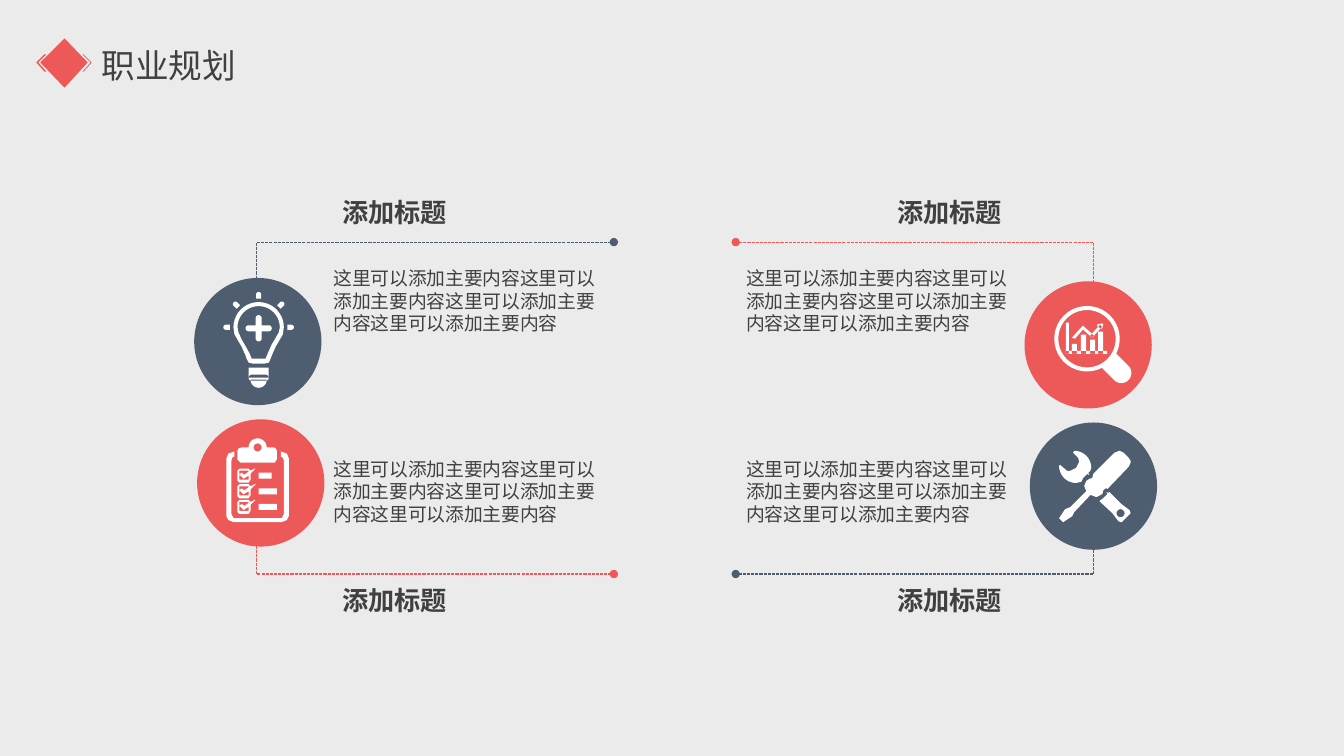
"""Build the career planning slide with four icon callouts."""
from math import cos, radians, sin

from lxml import etree
from pptx import Presentation
from pptx.dml.color import RGBColor
from pptx.enum.dml import MSO_LINE
from pptx.enum.shapes import MSO_SHAPE
from pptx.enum.text import PP_ALIGN
from pptx.oxml.ns import qn
from pptx.util import Pt

OVAL = MSO_SHAPE.OVAL
DASH = MSO_LINE.SQUARE_DOT
LEFT, RIGHT = PP_ALIGN.LEFT, PP_ALIGN.RIGHT
COLORS = {"background": "EBEBEB", "navy": "4F5D70", "coral": "ED5858",
          "text": "404040", "icon": "FFFFFF"}
FONT = "Noto Sans CJK SC"
GRID = 0.72
DISC = 90.9


def arc(x, y, radius, start, end):
    steps = max(8, int(abs(end - start) / 9))
    angles = [radians(start + (end - start) * i / steps) for i in range(steps + 1)]
    return [(x + radius * cos(a), y + radius * sin(a)) for a in angles]


def box(x, y, width, height):
    return [(x, y), (x + width, y), (x + width, y + height), (x, y + height)]


def ray(angle):
    a = radians(angle)
    tip = arc(64 + 32.5 * cos(a), 49 + 32.5 * sin(a), 2.5, angle - 90, angle + 90)
    base = [(64 + 28.5 * cos(a) - side * sin(a), 49 + 28.5 * sin(a) + side * cos(a))
            for side in (2.5, -2.5)]
    return tip + base


def lower(points, distance):
    return [(x, y + distance) for x, y in points]


EMBLEM = [
    [(46, 16), (47, 16), (55, 24), (47, 33), (46, 33), (54, 24)],
    [(8, 16), (10, 16), (2, 24), (10, 33), (8, 33), (0, 24)],
    [(28, 0), (51, 24), (28, 49), (4, 24)],
]
BULB = [
    arc(64, 49, 25, 180, 360) + [
        (88, 56), (84, 63), (81, 68), (77, 77), (76, 80), (74, 84), (70, 85),
        (58, 85), (54, 84), (52, 80), (51, 77), (47, 68), (44, 63), (40, 56)],
    arc(64, 49, 21, 180, 360) + [
        (84, 54), (80, 61), (77, 66), (73, 75), (71, 80), (57, 80), (55, 75),
        (50, 66), (47, 61), (44, 54)],
    arc(74, 50, 3, -90, 90) + [(67, 53)] + arc(64, 60, 3, 0, 180) + [(61, 53)]
    + arc(54, 50, 3, 90, 270) + [(61, 47)] + arc(64, 40, 3, 180, 360) + [(67, 47)],
    box(54, 89, 20, 10),
    arc(57, 99, 3, 90, 270) + arc(71, 99, 3, -90, 90),
    arc(64, 101, 8, 0, 180),
] + [ray(angle) for angle in range(180, 361, 45)]

CHECK_BOX = [(53, 51), (51, 49), (42, 49), (40, 51), (40, 61), (42, 63), (51, 63),
             (53, 60), (53, 54), (58, 49), (57, 49)]
CHECK_MARK = [(42, 51), (51, 51), (51, 52), (47, 55), (44, 53), (42, 55), (46, 59),
              (51, 56), (51, 60), (42, 60)]
CLIPBOARD = [
    [(34, 41), (35, 38), (37, 37), (37, 32), (31, 34), (29, 39), (29, 96), (31, 100),
     (36, 102), (84, 102), (89, 100), (91, 96), (91, 39), (89, 34), (83, 32),
     (83, 37), (85, 38), (86, 41), (86, 94), (84, 98), (36, 98), (34, 94)],
    [(51, 28), (44, 28), (41, 29), (40, 31), (40, 40), (43, 43), (77, 43), (79, 40),
     (79, 31), (78, 29), (76, 28), (69, 28)] + arc(60, 28, 9, 0, -180),
    arc(60, 28, 4, 0, 360),
]
for row, width in enumerate((13, 18, 18)):
    drop = 15.5 * row
    CLIPBOARD += [lower(CHECK_BOX, drop), lower(CHECK_MARK, drop),
                  box(61, 53 + drop, width, 6)]

MAGNIFIER = [
    arc(62, 57, 32.5, 63, 387) + arc(96, 91, 10, -45, 135),
    arc(62, 57, 28.5, 0, 360),
    [(58, 48), (50, 57), (47, 56), (56, 46)],
    [(67, 56), (56, 46), (58, 44), (69, 54)],
    [(77, 45), (67, 56), (65, 54), (75, 43)],
    [(77, 42), (78, 42), (78, 44), (77, 47), (75, 47), (72, 44), (72, 43), (76, 42)],
    box(41, 41, 3, 31), box(41, 69, 41, 3),
] + [box(x, 72 - height, 5, height) for x, height in ((47, 10), (56, 19), (65, 14), (73, 22))]
TOOLS = [
    arc(90, 90, 4, 0, 360),
    [(76, 69), (77, 71), (73, 75), (69, 78), (82, 90), (88, 98), (91, 99),
     (100, 90), (99, 87), (91, 81), (79, 69), (78, 70)],
    [(55, 53), (57, 51), (59, 52), (58, 50), (60, 48)] + arc(44, 45, 17, 0, -90)
    + [(43, 30), (48, 35), (49, 39), (46, 45), (40, 48), (37, 48), (30, 42)]
    + arc(46, 43, 17, 180, 90) + [(50, 59), (51, 59), (53, 55)],
    [(98, 35), (93, 30), (89, 28), (84, 30), (63, 51), (62, 55), (59, 56), (56, 58),
     (54, 63), (56, 68), (40, 84), (35, 86), (29, 95), (33, 99), (42, 93), (44, 89),
     (60, 72), (61, 72), (66, 74), (70, 72), (72, 71), (73, 67), (76, 65), (77, 66),
     (98, 44), (100, 40), (100, 38)],
]

TITLE = "职业规划"
HEADING = "添加标题"
BODY = "这里可以添加主要内容" * 4
CALLOUTS = [
    ("left", "top", "navy", BULB, (138.7, 198.5)),
    ("left", "bottom", "coral", CLIPBOARD, (140.8, 299.5)),
    ("right", "top", "coral", MAGNIFIER, (731.8, 200.9)),
    ("right", "bottom", "navy", TOOLS, (735.6, 301.8)),
]
COLUMNS = {
    "left": {"stem": 183.2, "end": 438.5, "heading": 237.2, "body": 231.2, "align": LEFT},
    "right": {"stem": 781.2, "end": 525.5, "heading": 584.2, "body": 525.9, "align": RIGHT},
}
ROWS = {
    "top": {"start": 231.1, "rail": 172.9, "heading": 136.8, "body": 187.2},
    "bottom": {"start": 352.1, "rail": 410, "heading": 414, "body": 323.3},
}


def rgb(name):
    return RGBColor.from_string(COLORS[name])


def paint(shape, color):
    shape.shadow.inherit = False
    shape.fill.solid()
    shape.fill.fore_color.rgb = rgb(color)
    shape.line.fill.background()


def add_outline(slide, contours, left, top, unit=GRID, close=True):
    outlines = [[(Pt(left + x * unit), Pt(top + y * unit)) for x, y in contour]
                for contour in contours]
    builder = slide.shapes.build_freeform(*outlines[0][0], scale=1)
    builder.add_line_segments(outlines[0][1:], close=close)
    for points in outlines[1:]:
        builder.move_to(*points[0])
        builder.add_line_segments(points[1:], close=close)
    return builder.convert_to_shape()


def add_bracket(slide, points, color):
    bracket = add_outline(slide, [points], 0, 0, unit=1, close=False)
    bracket.shadow.inherit = False
    bracket.fill.background()
    bracket.line.color.rgb = rgb(color)
    bracket.line.width = Pt(0)
    bracket.line.dash_style = DASH
    outline = bracket.line._get_or_add_ln()
    for end in ("a:headEnd", "a:tailEnd"):
        etree.SubElement(outline, qn(end), type="oval")


def add_text(slide, text, place, size, bold=False, align=LEFT, wrap=True):
    frame = slide.shapes.add_textbox(*map(Pt, place)).text_frame
    frame.word_wrap = wrap
    paragraph = frame.paragraphs[0]
    paragraph.text = text
    paragraph.alignment = align
    font = paragraph.font
    font.size, font.bold, font.name = Pt(size), bold, FONT
    font.color.rgb = rgb("text")
    properties = paragraph._p.pPr.find(qn("a:defRPr"))
    etree.SubElement(properties, qn("a:ea"), typeface=FONT)


def main():
    deck = Presentation()
    deck.slide_width, deck.slide_height = Pt(960), Pt(540)
    slide = deck.slides.add_slide(deck.slide_layouts[6])
    slide.background.fill.solid()
    slide.background.fill.fore_color.rgb = rgb("background")
    paint(add_outline(slide, EMBLEM, 25.92, 27.36), "coral")
    add_text(slide, TITLE, (65.6, 28.2, 111.6, 36), 24, wrap=False)
    for side, level, color, icon, (left, top) in CALLOUTS:
        column, row = COLUMNS[side], ROWS[level]
        add_bracket(slide, [(column["stem"], row["start"]), (column["stem"], row["rail"]),
                            (column["end"], row["rail"])], color)
        paint(slide.shapes.add_shape(OVAL, Pt(left), Pt(top), Pt(DISC), Pt(DISC)), color)
        paint(add_outline(slide, icon, left, top), "icon")
        add_text(slide, HEADING, (column["heading"], row["heading"], 138.24, 30.24),
                 18.67, bold=True, align=column["align"])
        add_text(slide, BODY, (column["body"], row["body"], 203.76, 55.44), 13.33)
    deck.save("out.pptx")


if __name__ == "__main__":
    main()
